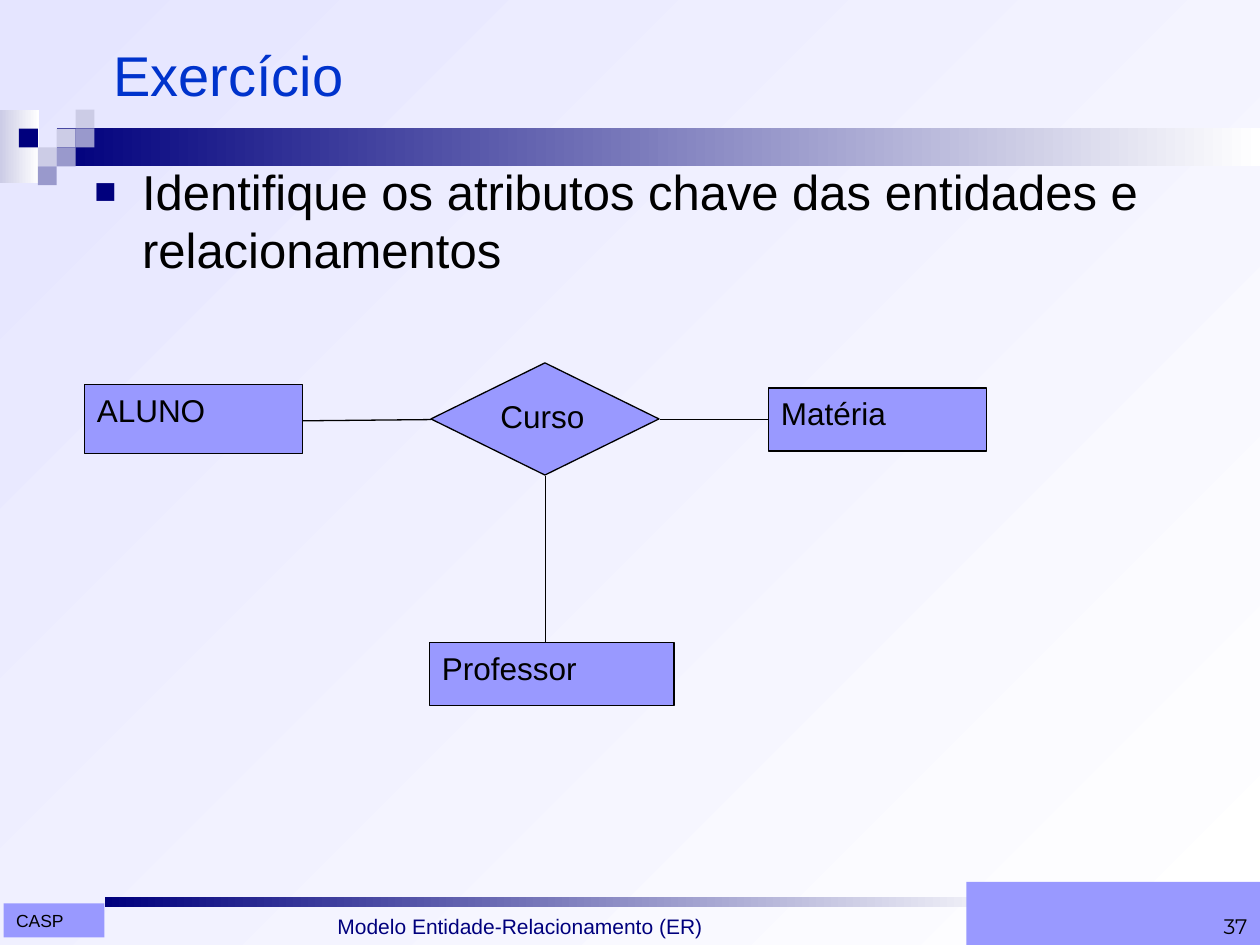
import pptx
import pptx.util
import pptx.dml.color
import pptx.enum.shapes
import pptx.enum.text
import lxml.etree
import pptx.oxml.ns

Inches = pptx.util.Inches
SHAPES = pptx.enum.shapes.MSO_SHAPE
ANCHOR = pptx.enum.text.MSO_ANCHOR
ALIGN = pptx.enum.text.PP_ALIGN
qn = pptx.oxml.ns.qn
COLORS = {
    "navy": "00007D",
    "blue": "0033CC",
    "violet": "9999FF",
    "slate": "9999CC",
    "pale": "CCCCE6",
    "mist": "E5E5FF",
    "white": "FFFFFF",
    "black": "000000",
}


def paint(fill, color, angle=None):
    if angle is None:
        fill.solid()
        fill.fore_color.rgb = pptx.dml.color.RGBColor.from_string(COLORS[color])
        return
    fill.gradient()
    fill.gradient_angle = angle
    for stop, name in zip(fill.gradient_stops, (color, "white")):
        stop.color.rgb = pptx.dml.color.RGBColor.from_string(COLORS[name])


def add_box(bounds, fill=None, angle=None, text="", size=18, color="black", font="Arial",
            anchor=ANCHOR.TOP, align=ALIGN.LEFT, kind=SHAPES.RECTANGLE, outlined=False):
    bounds = [Inches(value) for value in bounds]
    if fill:
        shape = slide.shapes.add_shape(kind, *bounds)
        shape.shadow.inherit = False
        paint(shape.fill, fill, angle)
        if outlined:
            paint(shape.line.fill, "black")
            shape.line.width = pptx.util.Pt(0.75)
        else:
            shape.line.fill.background()
    else:
        shape = slide.shapes.add_textbox(*bounds)
    if text:
        frame = shape.text_frame
        frame.text = text
        frame.word_wrap = True
        frame.vertical_anchor = anchor
        paragraph = frame.paragraphs[0]
        paragraph.alignment = align
        run = paragraph.runs[0]
        run.font.name = font
        run.font.size = pptx.util.Pt(size)
        paint(run.font.fill, color)
    return shape


presentation = pptx.Presentation()
presentation.slide_width = Inches(10)
presentation.slide_height = Inches(7.5)
slide = presentation.slides.add_slide(presentation.slide_layouts[6])
paint(slide.background.fill, "mist", 315)

add_box((0, 0.87, 0.31, 0.58), "pale", 0)
add_box((0.45, 1.02, 9.55, 0.3), "navy", 0)
squares = [
    (3, 1, "pale"), (4, 0, "pale"), (4, 1, "slate"), (2, 2, "pale"),
    (1, 1, "navy"), (3, 2, "slate"), (2, 3, "slate"),
]
for column, row, color in squares:
    add_box((0.15 * column, 0.87 + 0.15 * row, 0.15, 0.15), color)

add_box((0.83, 7.12, 7.38, 0.08), "navy", 0)
add_box((0.03, 7.17, 0.8, 0.27), "violet", text="CASP", size=10)
add_box((2.58, 6.98, 4.62, 0.52), text="Modelo Entidade-Relacionamento (ER)",
        size=12, color="navy", anchor=ANCHOR.BOTTOM)
add_box((7.67, 7, 2.33, 0.5), "violet", text="37", size=12, font="Montserrat",
        anchor=ANCHOR.BOTTOM, align=ALIGN.RIGHT)

add_box((0.8, 0.13, 9, 0.91), text="Exercício", size=32, color="blue", anchor=ANCHOR.MIDDLE)
body = add_box((0.65, 1.23, 9, 1.1), size=28,
               text="Identifique os atributos chave das entidades e relacionamentos")
properties = body.text_frame.paragraphs[0]._p.get_or_add_pPr()
properties.set("marL", str(Inches(0.38)))
properties.set("indent", str(-Inches(0.38)))
bullet_color = lxml.etree.SubElement(properties, qn("a:buClr"))
lxml.etree.SubElement(bullet_color, qn("a:srgbClr"), val=COLORS["navy"])
lxml.etree.SubElement(properties, qn("a:buSzPct"), val="75000")
lxml.etree.SubElement(properties, qn("a:buFont"), typeface="Arial")
lxml.etree.SubElement(properties, qn("a:buChar"), char="■")

entities = [
    ("Curso", SHAPES.DIAMOND, (3.42, 2.88, 1.81, 0.89)),
    ("ALUNO", SHAPES.RECTANGLE, (0.67, 3.05, 1.73, 0.55)),
    ("Professor", SHAPES.RECTANGLE, (3.41, 5.1, 1.94, 0.5)),
    ("Matéria", SHAPES.RECTANGLE, (6.1, 3.08, 1.73, 0.5)),
]
for name, kind, bounds in entities:
    add_box(bounds, "violet", text=name, kind=kind, outlined=True)

links = [(2.4, 3.34, 3.42, 3.33), (5.24, 3.33, 6.1, 3.33), (4.33, 3.78, 4.33, 5.1)]
for ends in links:
    connector = slide.shapes.add_connector(
        pptx.enum.shapes.MSO_CONNECTOR.STRAIGHT, *[Inches(value) for value in ends])
    paint(connector.line.fill, "black")
    connector.line.width = pptx.util.Pt(0.75)
    lxml.etree.SubElement(connector._element.spPr, qn("a:effectLst"))

presentation.save("out.pptx")
